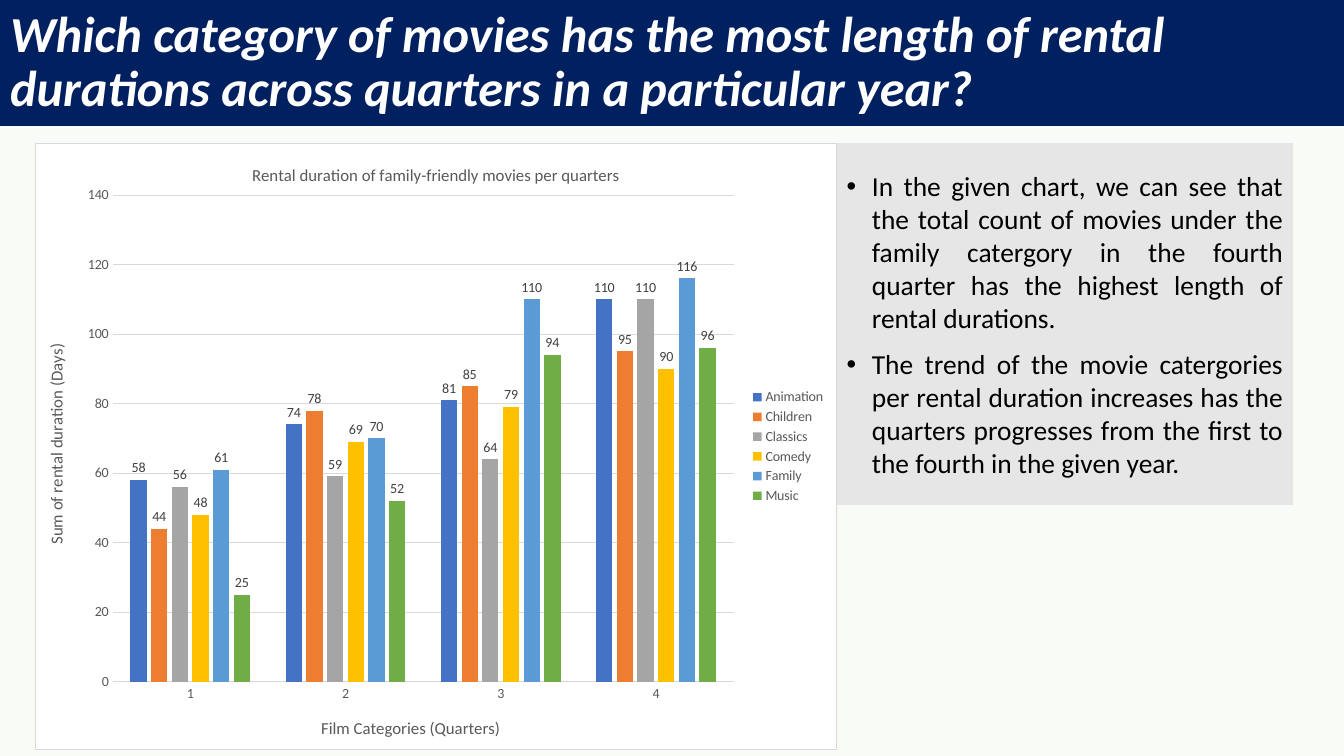
from dataclasses import dataclass

from lxml import etree
from pptx import Presentation
from pptx.chart.data import CategoryChartData
from pptx.dml.color import RGBColor
from pptx.enum.chart import XL_CHART_TYPE, XL_LABEL_POSITION, XL_LEGEND_POSITION, XL_TICK_MARK
from pptx.enum.text import MSO_ANCHOR, MSO_AUTO_SIZE, PP_ALIGN
from pptx.oxml import parse_xml
from pptx.oxml.ns import nsdecls, qn
from pptx.util import Pt

COLUMNS = XL_CHART_TYPE.COLUMN_CLUSTERED
OUTSIDE_END = XL_LABEL_POSITION.OUTSIDE_END
LEGEND_RIGHT = XL_LEGEND_POSITION.RIGHT
NO_TICK = XL_TICK_MARK.NONE
MIDDLE = MSO_ANCHOR.MIDDLE
NO_AUTOFIT = MSO_AUTO_SIZE.NONE
LEFT = PP_ALIGN.LEFT
JUSTIFY = PP_ALIGN.JUSTIFY

FONT = "Calibri"
GREY_TEXT = "595959"
GREY_LINE = "D9D9D9"


@dataclass(frozen=True)
class Frame:
    left: float
    top: float
    width: float
    height: float


@dataclass(frozen=True)
class FilmCategory:
    name: str
    days: tuple[int, ...]
    color: str


TITLE_FRAME = Frame(0, 0, 960, 90)
CHART_FRAME = Frame(25.2, 102.24, 572.4, 433.44)
NOTES_FRAME = Frame(597.6, 102.24, 326.16, 258.48)
PLOT_LAYOUT = {"x": 0.096, "y": 0.085, "w": 0.776, "h": 0.803}

QUARTERS = ("1", "2", "3", "4")
FILM_CATEGORIES = (
    FilmCategory("Animation", (58, 74, 81, 110), "4472C4"),
    FilmCategory("Children", (44, 78, 85, 95), "ED7D31"),
    FilmCategory("Classics", (56, 59, 64, 110), "A5A5A5"),
    FilmCategory("Comedy", (48, 69, 79, 90), "FFC000"),
    FilmCategory("Family", (61, 70, 110, 116), "5B9BD5"),
    FilmCategory("Music", (25, 52, 94, 96), "70AD47"),
)
QUESTION = (
    "Which category of movies has the most length of rental durations "
    "across quarters in a particular year?"
)
FINDINGS = (
    "In the given chart, we can see that the total count of movies under the family "
    "catergory in the fourth quarter has the highest length of rental durations.",
    "The trend of the movie catergories per rental duration increases has the quarters "
    "progresses from the first to the fourth in the given year.",
)


def paint(target, color: str) -> None:
    target.solid()
    target.fore_color.rgb = RGBColor.from_string(color)


def draw_line(line, color: str) -> None:
    line.width = Pt(0.75)
    paint(line.fill, color)


def format_font(font, size: float, color: str, bold: bool = False, italic: bool = False) -> None:
    font.name = FONT
    font.size = Pt(size)
    font.bold = bold
    font.italic = italic
    font.color.rgb = RGBColor.from_string(color)


def add_text(para, text: str, **style) -> None:
    span = para.add_run()
    span.text = text
    format_font(span.font, **style)


def place(box, frame: Frame, fill: str):
    box.left, box.top = Pt(frame.left), Pt(frame.top)
    box.width, box.height = Pt(frame.width), Pt(frame.height)
    paint(box.fill, fill)
    text_frame = box.text_frame
    text_frame.word_wrap = True
    text_frame.auto_size = NO_AUTOFIT
    text_frame.vertical_anchor = MIDDLE
    return text_frame


def add_bullet(para) -> None:
    properties = para._p.get_or_add_pPr()
    properties.set("marL", str(Pt(18)))
    properties.set("indent", str(Pt(-18)))
    etree.SubElement(properties, qn("a:buFont")).set("typeface", "Arial")
    etree.SubElement(properties, qn("a:buChar")).set("char", "•")


def fill_title(page) -> None:
    para = place(page.shapes.title, TITLE_FRAME, "002060").paragraphs[0]
    para.alignment = LEFT
    para.line_spacing = 0.9
    add_text(para, QUESTION, size=36, color="FFFFFF", bold=True, italic=True)


def fill_findings(page) -> None:
    text_frame = place(page.placeholders[1], NOTES_FRAME, "E7E6E6")
    for index, finding in enumerate(FINDINGS):
        para = text_frame.add_paragraph() if index else text_frame.paragraphs[0]
        para.alignment = JUSTIFY
        para.line_spacing = 1.0
        para.space_before = Pt(10)
        add_bullet(para)
        add_text(para, finding, size=19.6, color="000000")


def add_heading(owner, text: str) -> None:
    title = owner.chart_title if hasattr(owner, "chart_title") else owner.axis_title
    add_text(title.text_frame.paragraphs[0], text, size=12, color=GREY_TEXT)


def format_axis(axis, heading: str) -> None:
    axis.major_tick_mark = NO_TICK
    axis.minor_tick_mark = NO_TICK
    format_font(axis.tick_labels.font, 10, GREY_TEXT)
    add_heading(axis, heading)


def fix_plot_layout(chart) -> None:
    plot_area = chart._chartSpace.chart.plotArea
    for layout in plot_area.findall(qn("c:layout")):
        plot_area.remove(layout)
    sides = "".join(f'<c:{side}Mode val="edge"/>' for side in "xy")
    sizes = "".join(f'<c:{key} val="{share}"/>' for key, share in PLOT_LAYOUT.items())
    plot_area.insert(0, parse_xml(
        f'<c:layout {nsdecls("c")}><c:manualLayout><c:layoutTarget val="inner"/>'
        f"{sides}{sizes}</c:manualLayout></c:layout>"
    ))


def frame_chart(chart, fill: str, border: str) -> None:
    chart._chartSpace.chart.addnext(parse_xml(
        f'<c:spPr {nsdecls("c", "a")}><a:solidFill><a:srgbClr val="{fill}"/></a:solidFill>'
        f'<a:ln w="{Pt(0.75)}"><a:solidFill><a:srgbClr val="{border}"/></a:solidFill></a:ln></c:spPr>'
    ))


def add_rental_chart(page) -> None:
    chart_data = CategoryChartData()
    chart_data.categories = QUARTERS
    for category in FILM_CATEGORIES:
        chart_data.add_series(category.name, category.days)
    frame = CHART_FRAME
    chart = page.shapes.add_chart(
        COLUMNS, Pt(frame.left), Pt(frame.top), Pt(frame.width), Pt(frame.height), chart_data
    ).chart
    format_font(chart.font, 10, "000000")
    add_heading(chart, "Rental duration of family-friendly movies per quarters")
    chart.chart_title.include_in_layout = False

    format_axis(chart.category_axis, "Film Categories (Quarters)")
    draw_line(chart.category_axis.format.line, GREY_LINE)
    format_axis(chart.value_axis, "Sum of rental duration (Days)")
    chart.value_axis.format.line.fill.background()
    chart.value_axis.minimum_scale = 0
    chart.value_axis.maximum_scale = 140
    chart.value_axis.major_unit = 20
    draw_line(chart.value_axis.major_gridlines.format.line, GREY_LINE)

    chart.has_legend = True
    chart.legend.position = LEGEND_RIGHT
    chart.legend.include_in_layout = False
    format_font(chart.legend.font, 10, GREY_TEXT)

    plot = chart.plots[0]
    plot.gap_width = 219
    plot.overlap = -27
    plot.vary_by_categories = False
    for series, category in zip(plot.series, FILM_CATEGORIES):
        paint(series.format.fill, category.color)
        labels = series.data_labels
        labels.show_value = True
        labels.position = OUTSIDE_END
        format_font(labels.font, 10, "404040")
    fix_plot_layout(chart)
    frame_chart(chart, "FFFFFF", GREY_LINE)


deck = Presentation()
deck.slide_width, deck.slide_height = Pt(960), Pt(540)
page = deck.slides.add_slide(deck.slide_layouts[1])
paint(page.background.fill, "F8FBF6")
fill_title(page)
fill_findings(page)
add_rental_chart(page)
deck.save("out.pptx")
